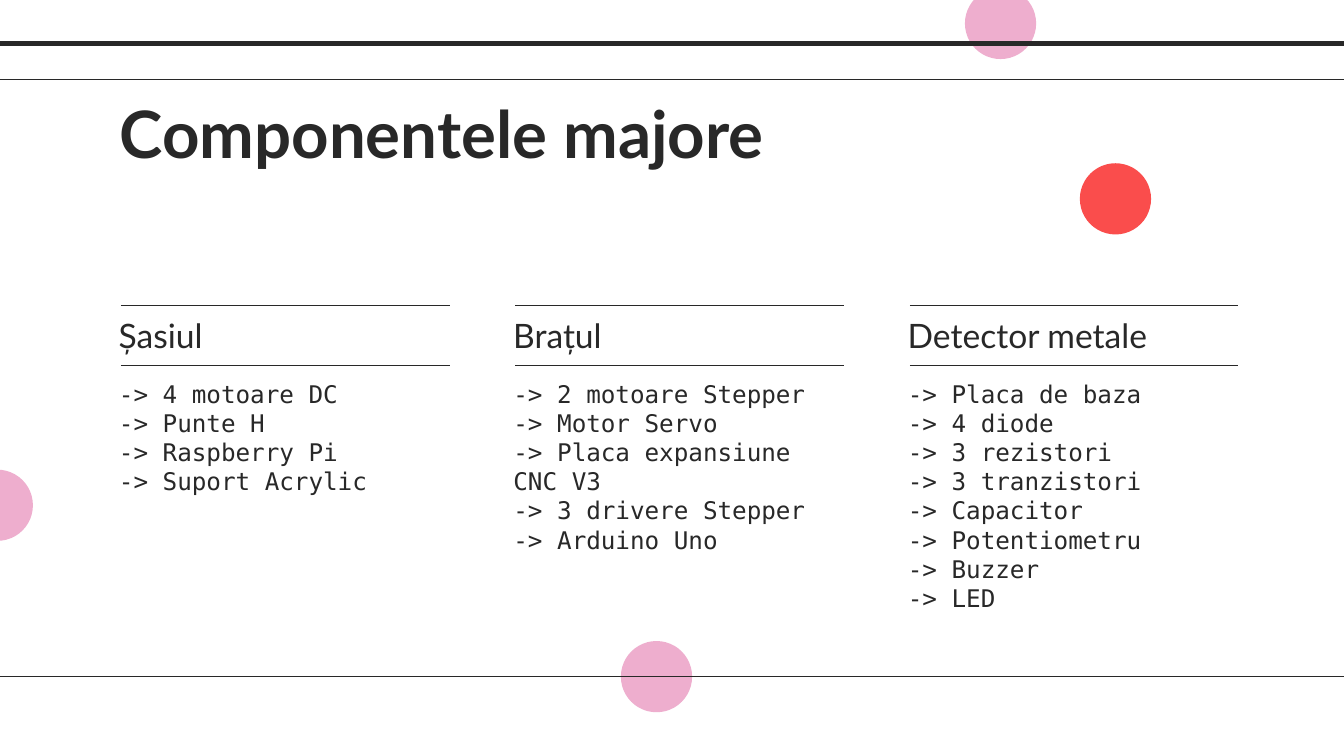
from lxml.etree import SubElement
from pptx import Presentation
from pptx.dml.color import RGBColor
from pptx.enum.shapes import MSO_CONNECTOR, MSO_SHAPE
from pptx.enum.text import MSO_ANCHOR, MSO_AUTO_SIZE, PP_ALIGN
from pptx.oxml.ns import qn
from pptx.util import Pt

PX = 4572
WIDTH, HEIGHT = 2000, 1125
COLORS = {"ink": "282828", "pink": "EEAECE", "red": "FA4D4C"}
TITLE = {"name": "Lato", "size": Pt(35), "bold": True}
HEADING = {"name": "Lato", "size": Pt(18), "bold": False}
LIST = {"name": "DejaVu Sans Mono", "size": Pt(13), "bold": False}
COLUMNS = {
    "Șasiul": ["4 motoare DC", "Punte H", "Raspberry Pi", "Suport Acrylic"],
    "Brațul": ["2 motoare Stepper", "Motor Servo", "Placa expansiune CNC V3",
               "3 drivere Stepper", "Arduino Uno"],
    "Detector metale": ["Placa de baza", "4 diode", "3 rezistori", "3 tranzistori",
                        "Capacitor", "Potentiometru", "Buzzer", "LED"],
}
COLUMN_LEFT, COLUMN_STEP, COLUMN_WIDTH = 157, 587, 504
RULE_INSET, RULE_LENGTH = 23, 489
HEADING_TOP, LIST_TOP = 455, 544


class SlideBuilder:
    """Draws styled elements on the current slide."""

    def __init__(self, page):
        self.page = page

    def color(self, name):
        return RGBColor.from_string(COLORS[name])

    def circle(self, left, top, fill, size=106):
        box = [length * PX for length in (left, top, size, size)]
        shape = self.page.shapes.add_shape(MSO_SHAPE.OVAL, *box)
        shape.shadow.inherit = False
        shape.fill.solid()
        shape.fill.fore_color.rgb = self.color(fill)
        shape.line.fill.background()

    def rule(self, left, top, length, weight=0.75):
        ends = [value * PX for value in (left, top, left + length, top)]
        line = self.page.shapes.add_connector(MSO_CONNECTOR.STRAIGHT, *ends)
        line.line.color.rgb = self.color("ink")
        line.line.width = Pt(weight)
        SubElement(line._element.spPr, qn("a:effectLst"))

    def text(self, box, bounds, lines, style, anchor=MSO_ANCHOR.TOP):
        for name, value in zip(("left", "top", "width", "height"), bounds):
            setattr(box, name, value * PX)
        frame = box.text_frame
        settings = {"word_wrap": True, "auto_size": MSO_AUTO_SIZE.NONE,
                    "vertical_anchor": anchor}
        settings |= {f"margin_{side}": 20 * PX for side in ("left", "top", "right", "bottom")}
        for name, value in settings.items():
            setattr(frame, name, value)
        frame.text = "\n".join(lines)
        for para in frame.paragraphs:
            properties = para._p.get_or_add_pPr()
            properties.set("marL", "0")
            properties.set("indent", "0")
            SubElement(properties, qn("a:buNone"))
            layout = {"alignment": PP_ALIGN.LEFT, "space_before": Pt(0), "line_spacing": 1.0}
            for name, value in layout.items():
                setattr(para, name, value)
            for span in para.runs:
                for name, value in style.items():
                    setattr(span.font, name, value)
                span.font.color.rgb = self.color("ink")

    def heading(self, bounds, words):
        box = self.page.shapes.add_textbox(0, 0, PX, PX)
        self.text(box, bounds, [words], HEADING, MSO_ANCHOR.MIDDLE)


def main():
    deck = Presentation()
    deck.slide_width, deck.slide_height = WIDTH * PX, HEIGHT * PX
    page = deck.slides.add_slide(deck.slide_layouts.get_by_name("Comparison"))
    builder = SlideBuilder(page)
    title, *bodies = list(page.placeholders)

    for left, top in ((-57, 699), (924, 954), (1436, -18)):
        builder.circle(left, top, "pink")
    for top, weight in ((65, 3), (118, 0.75), (1007, 0.75)):
        builder.rule(0, top, WIDTH, weight)

    builder.text(title, (158, 118, 1686, 126), ["Componentele majore"], TITLE)
    for index, (heading, items) in enumerate(COLUMNS.items()):
        left = COLUMN_LEFT + index * COLUMN_STEP
        lines = [f"-> {item}" for item in items]
        builder.text(bodies[index], (left, LIST_TOP, COLUMN_WIDTH, 190), lines, LIST)
        builder.heading((left, HEADING_TOP - 3, COLUMN_WIDTH, 94), heading)
        for top in (HEADING_TOP, LIST_TOP):
            builder.rule(left + RULE_INSET, top, RULE_LENGTH)
    for spare in bodies[len(COLUMNS):]:
        spare._element.getparent().remove(spare._element)

    builder.circle(1607, 243, "red")
    deck.save("out.pptx")


if __name__ == "__main__":
    main()
